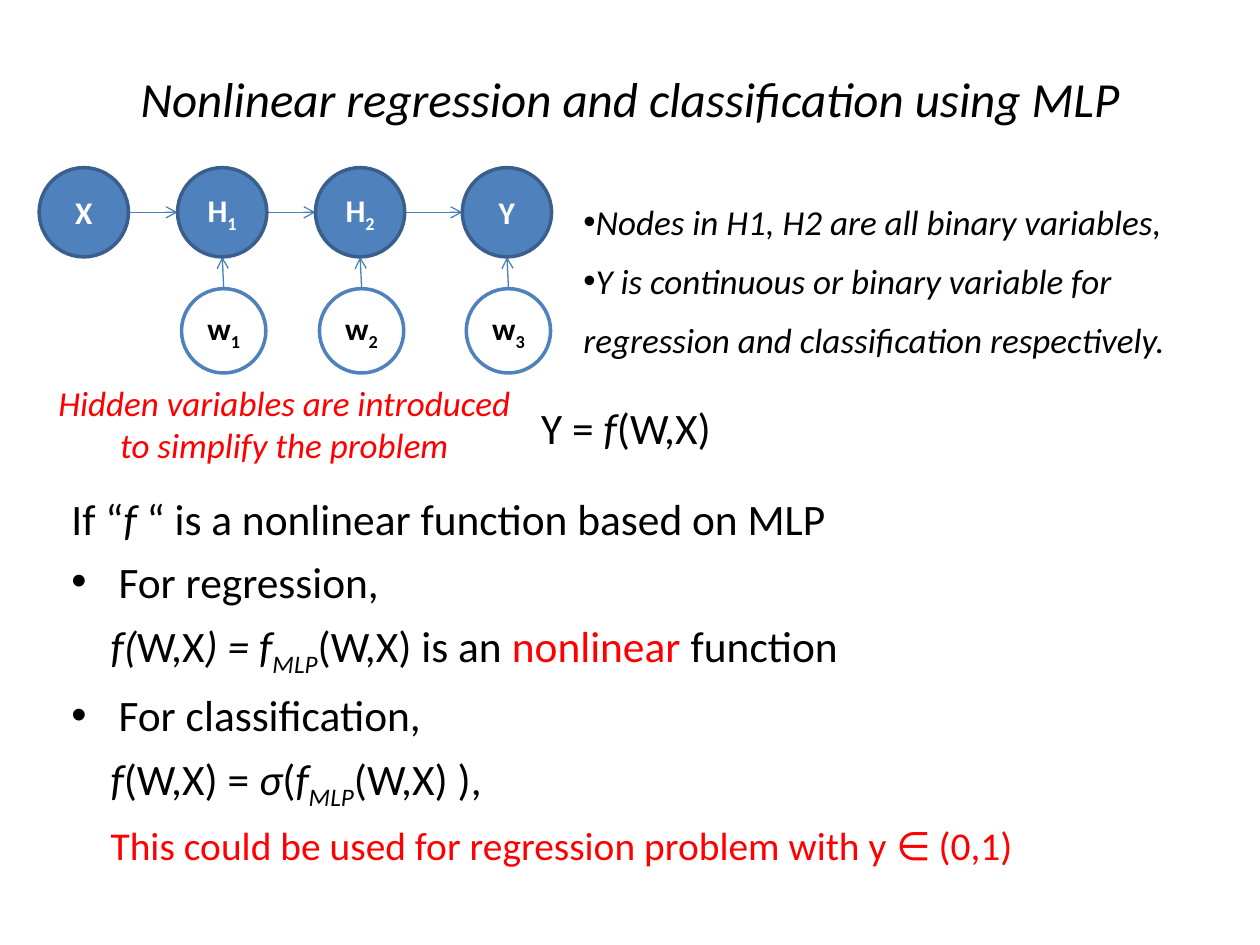
"""Build a slide on nonlinear regression and classification with an MLP."""
from lxml import etree
from pptx import Presentation
from pptx.dml.color import RGBColor
from pptx.enum import shapes, text
from pptx.oxml import ns
from pptx.util import Cm, Pt

COLORS = {"black": "000000", "white": "FFFFFF", "red": "FF0000",
          "blue": "4F81BD", "navy": "3A5F8C", "arrow": "4B7EBC"}
CENTER, LEFT = text.PP_ALIGN.CENTER, text.PP_ALIGN.LEFT
MIDDLE, TOP = text.MSO_ANCHOR.MIDDLE, text.MSO_ANCHOR.TOP
ITALIC, SUB, RED = {"italic": True}, {"sub": True}, {"color": "red"}
ITALIC_SUB = {**ITALIC, **SUB}


def write(para, spans, para_format, base, bullet=False, margin=0, indent=0):
    for name, value in para_format.items():
        setattr(para, name, value)
    properties = para._p.get_or_add_pPr()
    properties.set("marL", str(Cm(margin)))
    properties.set("indent", str(Cm(indent)))
    if bullet:
        font = etree.SubElement(properties, ns.qn("a:buFont"))
        font.set("typeface", "Arial")
        etree.SubElement(properties, ns.qn("a:buChar")).set("char", "•")
    for words, extra in spans:
        look = {"name": "Calibri", "color": "black", "sub": False, **base, **extra}
        span = para.add_run()
        span.text = words
        span.font.color.rgb = RGBColor.from_string(COLORS[look.pop("color")])
        if look.pop("sub"):
            span._r.get_or_add_rPr().set("baseline", "-25000")
        for name, value in look.items():
            setattr(span.font, name, value)


def add_arrow(page, *ends):
    arrow = page.shapes.add_connector(
        shapes.MSO_CONNECTOR.STRAIGHT, *[Cm(end) for end in ends])
    arrow.line.width = Pt(0.75)
    arrow.line.color.rgb = RGBColor.from_string(COLORS["arrow"])
    etree.SubElement(arrow.line._get_or_add_ln(), ns.qn("a:tailEnd")).set("type", "arrow")
    etree.SubElement(arrow._element.spPr, ns.qn("a:effectLst"))


deck = Presentation()
deck.slide_width, deck.slide_height = Cm(25.4), Cm(19.05)
page = deck.slides.add_slide(deck.slide_layouts[6])

plain = {"bullet": False}
point = {"bullet": True}
item = {"bullet": True, "margin": 0.95, "indent": -0.95}
formula = {"margin": 0.79}
body_format = {"alignment": LEFT, "line_spacing": 1.2, "space_before": Pt(0)}

texts = [
    ((1.27, 0.58, 22.86, 2.18), MIDDLE, {"size": Pt(28), "italic": True},
     {"alignment": CENTER, "line_spacing": 1.5},
     [([("Nonlinear regression and classification using MLP", {})], plain, {})]),
    ((1.19, 7.75, 22.86, 10.08), TOP, {"size": Pt(24.8)}, body_format, [
        ([("Y = ", {}), ("f", ITALIC), ("(W,X)", {})], plain, {"alignment": CENTER}),
        ([("If “", {}), ("f", ITALIC), (" “ is a nonlinear function based on MLP", {})],
         plain, {"space_before": Pt(16.5)}),
        ([("For regression,", {})], item, {}),
        ([("f(", ITALIC), ("W,X", {}), (") = f", ITALIC), ("MLP", ITALIC_SUB),
          ("(W,X) is an ", {}), ("nonlinear", RED), (" function", {})], formula, {}),
        ([("For classification,", {})], item, {}),
        ([("f", ITALIC), ("(W,X) = ", {}), ("σ", ITALIC), ("(", {}), ("f", ITALIC),
          ("MLP", ITALIC_SUB), ("(W,X) ),", {})], formula, {}),
        ([("This could be used for regression problem with y ∈ (0,1)",
           {**RED, "size": Pt(22.5)})], formula, {}),
    ]),
    ((11.51, 3.58, 13.49, 3.84), TOP, {"size": Pt(20), "italic": True},
     {"alignment": LEFT, "line_spacing": 1.4}, [
        ([("Nodes in H1, H2 are all binary variables,", {})], point, {}),
        ([("Y is continuous or binary variable for regression and "
           "classification respectively.", {})], point, {}),
    ]),
    ((0.58, 7.57, 10.31, 1.96), TOP, {"size": Pt(20), "italic": True, **RED},
     {"alignment": CENTER},
     [([("Hidden variables are introduced to simplify the problem", {})], plain, {})]),
]
for place, anchor, base, para_format, paras in texts:
    box = page.shapes.add_textbox(*[Cm(length) for length in place])
    frame = box.text_frame
    frame.word_wrap = True
    frame.vertical_anchor = anchor
    for index, (spans, layout, changes) in enumerate(paras):
        para = frame.add_paragraph() if index else frame.paragraphs[0]
        write(para, spans, {**para_format, **changes}, base, **layout)

node_size, weight_size = 1.8, 1.7
node_top, weight_top = 3.38, 5.82
node_lefts = [0.79, 3.58, 6.36, 9.32]
labels = [("X", ""), ("H", "1"), ("H", "2"), ("Y", "")]

circles = []
for number, (left, label) in enumerate(zip(node_lefts, labels)):
    circles.append((left, node_top, node_size, label, "blue", "navy", "white"))
    if number:
        circles.append((left + 0.08, weight_top, weight_size, ("w", str(number)),
                        "white", "blue", "black"))
        middle = left + node_size / 2
        height = node_top + node_size / 2
        add_arrow(page, node_lefts[number - 1] + node_size, height, left, height)
        add_arrow(page, middle + 0.03, weight_top, middle, node_top + node_size)

for left, top, size, (letter, subscript), fill, line, color in circles:
    circle = page.shapes.add_shape(
        shapes.MSO_SHAPE.OVAL, Cm(left), Cm(top), Cm(size), Cm(size))
    circle.shadow.inherit = False
    circle.fill.solid()
    circle.fill.fore_color.rgb = RGBColor.from_string(COLORS[fill])
    circle.line.color.rgb = RGBColor.from_string(COLORS[line])
    circle.line.width = Pt(2)
    circle.text_frame.vertical_anchor = MIDDLE
    spans = [(letter, {})] + ([(subscript, SUB)] if subscript else [])
    write(circle.text_frame.paragraphs[0], spans, {"alignment": CENTER},
          {"size": Pt(18), "bold": True, "color": color})

deck.save("out.pptx")
